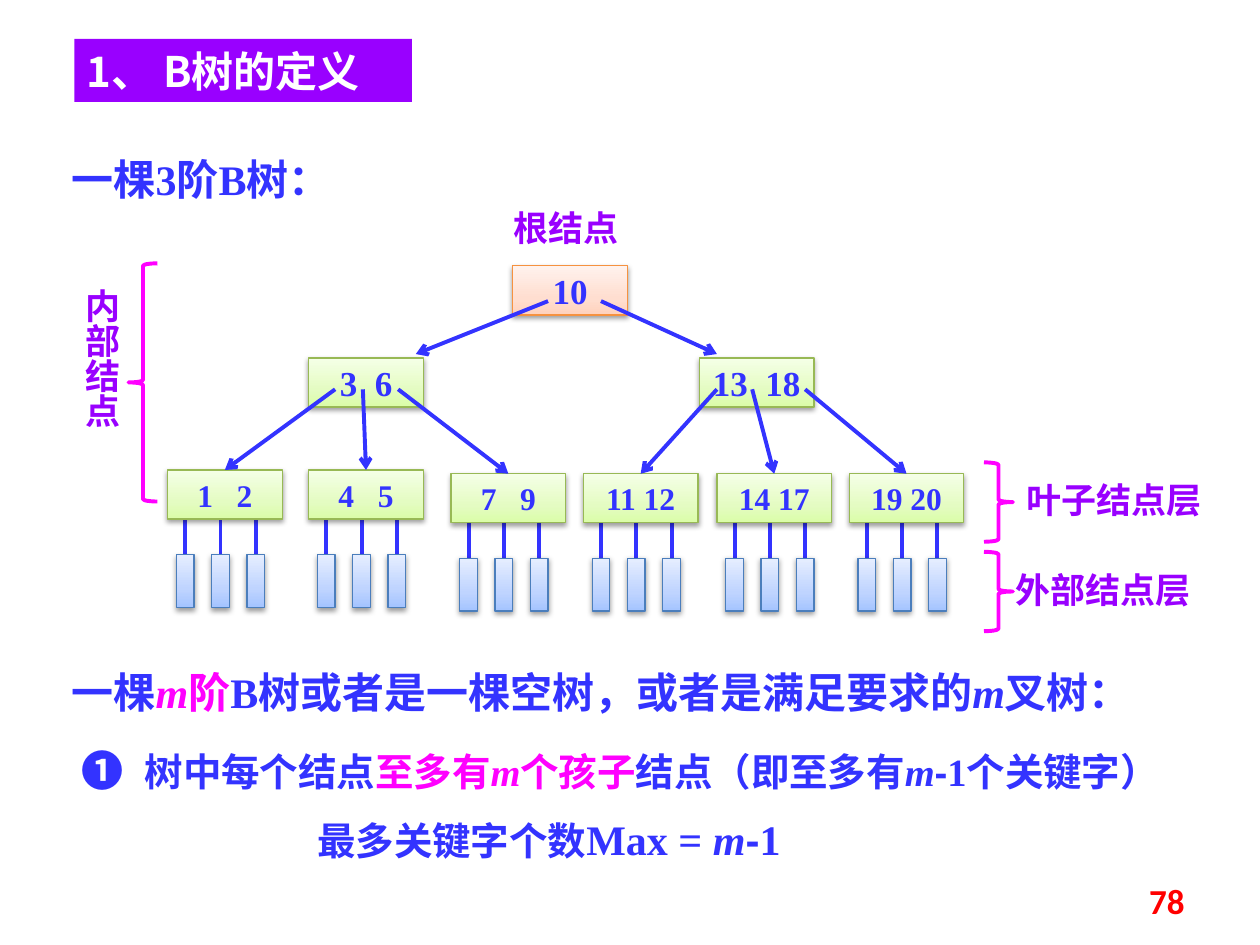
from lxml.etree import SubElement
from pptx import Presentation
from pptx.dml.color import RGBColor
from pptx.enum.shapes import MSO_CONNECTOR as CONNECTOR, MSO_SHAPE as SHAPE
from pptx.enum.text import MSO_ANCHOR as ANCHOR, PP_ALIGN as ALIGN
from pptx.oxml import parse_xml
from pptx.oxml.ns import nsdecls, qn
from pptx.util import Inches, Pt

BLUE, PURPLE, MAGENTA, WHITE, RED = "3333FF", "9900FF", "FF00FF", "FFFFFF", "FF0000"
SERIF, SANS = "Times New Roman", "Noto Sans CJK SC"
# Gradient from bottom to top, then outline
ROOT = ("FFD2BD", "FFDED0", "FFF2ED"), "F69240"
INNER = ("DAFDA7", "E4FCC2", "F5FFE7"), "98B955"
EXTERNAL = ("A4C4FF", "BFD4FF", "E6EEFF"), "4B7EBC"
NODE_W, NODE_H = 0.91, 0.39


def color(hex_value):
    return RGBColor.from_string(hex_value)


class TreeSlide:
    def __init__(self, slide):
        self.shapes = slide.shapes

    def set_runs(self, frame, runs, size, ink, font=SERIF, align=ALIGN.LEFT, anchor=ANCHOR.TOP):
        """Fill a frame with (text, overrides) runs."""
        frame.word_wrap = True
        frame.vertical_anchor = anchor
        paragraph = frame.paragraphs[0]
        paragraph.alignment = align
        for words, changes in runs:
            run = paragraph.add_run()
            run.text = words
            run.font.size = Pt(changes.get("size", size))
            run.font.bold = True
            run.font.italic = changes.get("italic", False)
            run.font.color.rgb = color(changes.get("ink", ink))
            run.font.name = changes.get("font", font)
            props = run._r.get_or_add_rPr()
            SubElement(props, qn("a:ea")).set("typeface", SANS)
            if "gap" in changes:
                props.set("spc", str(int(changes["gap"] * 100)))
        return paragraph

    def text(self, box, runs, size, ink, **style):
        area = self.shapes.add_textbox(*map(Inches, box))
        return area.text_frame, self.set_runs(area.text_frame, runs, size, ink, **style)

    def label(self, box, words, size=20, ink=PURPLE, fill=WHITE):
        panel = self.shapes.add_shape(SHAPE.RECTANGLE, *map(Inches, box))
        panel.shadow.inherit = False
        panel.fill.solid()
        panel.fill.fore_color.rgb = color(fill)
        panel.line.fill.background()
        self.set_runs(panel.text_frame, [(words, {})], size, ink, font=SANS)

    def node(self, box, look, keys="", size=20, spaces=1):
        stops, outline = look
        block = self.shapes.add_shape(SHAPE.RECTANGLE, *map(Inches, box))
        block.line.color.rgb = color(outline)
        block.line.width = Pt(0.75)
        gradient = "".join(
            f'<a:gs pos="{pos}"><a:srgbClr val="{stop}"/></a:gs>'
            for pos, stop in zip((0, 35000, 100000), stops))
        props = block._element.spPr
        props.insert(2, parse_xml(
            f'<a:gradFill {nsdecls("a")} rotWithShape="1"><a:gsLst>{gradient}</a:gsLst>'
            '<a:lin ang="16200000" scaled="0"/></a:gradFill>'))
        props.append(parse_xml(
            f'<a:effectLst {nsdecls("a")}><a:outerShdw blurRad="{Pt(3.1)}" '
            f'dist="{Pt(1.6)}" dir="5400000" rotWithShape="0"><a:srgbClr val="000000">'
            '<a:alpha val="38000"/></a:srgbClr></a:outerShdw></a:effectLst>'))
        if keys:
            first, *rest = keys.split()
            runs = [(first, {})]
            for key in rest:
                # One space, widened by character spacing
                runs += [(" ", {"gap": (spaces - 1) * size / 4}), (key, {})]
            self.set_runs(block.text_frame, runs, size, BLUE,
                          align=ALIGN.CENTER, anchor=ANCHOR.MIDDLE)

    def line(self, start, end, arrow=False):
        link = self.shapes.add_connector(
            CONNECTOR.STRAIGHT, *map(Inches, (*start, *end)))
        link.line.color.rgb = color(BLUE)
        link.line.width = Pt(2.25)
        props = link._element.spPr
        if arrow:
            SubElement(props.find(qn("a:ln")), qn("a:tailEnd")).set("type", "arrow")
        SubElement(props, qn("a:effectLst"))

    def brace(self, kind, box):
        bracket = self.shapes.add_shape(kind, *map(Inches, box))
        bracket.shadow.inherit = False
        bracket.fill.background()
        bracket.line.color.rgb = color(MAGENTA)
        bracket.line.width = Pt(2.25)


def draw_tree(page):
    leaves = [(1.33, 3.73, "1 2", 3), (2.45, 3.73, "4 5", 3), (3.58, 3.76, "7 9", 3),
              (4.63, 3.76, "11 12", 1), (5.69, 3.76, "14 17", 1), (6.74, 3.76, "19 20", 1)]

    # External nodes: three under each leaf
    for left, top, *_ in leaves:
        for child in range(3):
            x = left + 0.14 + 0.28 * child
            page.line((x, top + 0.32), (x, top + 0.67))
            page.node((x - 0.07, top + 0.67, 0.14, 0.42), EXTERNAL)

    # Internal nodes
    page.node((4.07, 2.11, NODE_W, NODE_H), ROOT, "10")
    for left, top, keys, spaces in leaves:
        page.node((left, top, NODE_W, NODE_H), INNER, keys, 18, spaces)
    branches = [(2.45, "3 6", (0.21, 0.43, 0.71), leaves[:3]),
                (5.55, "13 18", (0.14, 0.42, 0.84), leaves[3:])]
    for left, keys, *_ in branches:
        page.node((left, 2.84, NODE_W, NODE_H), INNER, keys, spaces=2)

    # Pointers
    page.line((4.35, 2.39), (3.3, 2.81), arrow=True)
    page.line((4.77, 2.39), (5.69, 2.81), arrow=True)
    for left, _, offsets, children in branches:
        for offset, (leaf_left, leaf_top, *_) in zip(offsets, children):
            page.line((left + offset, 3.09), (leaf_left + NODE_W / 2, leaf_top), arrow=True)

    # Layer names and braces
    page.label((3.98, 1.59, 1.25, 0.44), "根结点")
    page.label((8.05, 3.75, 1.72, 0.44), "叶子结点层")
    page.label((7.96, 4.46, 1.88, 0.44), "外部结点层")
    for top in (3.67, 4.38):
        page.brace(SHAPE.RIGHT_BRACE, (7.81, top, 0.23, 0.63))
    page.brace(SHAPE.LEFT_BRACE, (1.02, 2.09, 0.23, 1.89))
    inner_name, _ = page.text((0.48, 2.19, 0.54, 1.64), [("内部结点", {})], 20, PURPLE, font=SANS)
    inner_name._txBody.bodyPr.set("vert", "eaVert")


def draw_definition(page):
    order = ("m", {"italic": True})
    pink_order = ("m", {"italic": True, "ink": MAGENTA})
    minus = ("-", {"font": "Arial"})

    _, definition = page.text((0.47, 5.16, 9.26, 0.59), [
        ("一棵", {}), pink_order, ("阶", {"ink": MAGENTA}),
        ("B树或者是一棵空树，或者是满足要求的", {}), order, ("叉树：", {})], 24, BLUE)
    definition.line_spacing = 1.2

    _, rule = page.text((0.55, 5.86, 8.91, 0.5), [
        ("❶", {"size": 24}), ("\t树中每个结点", {}), ("至多有", {"ink": MAGENTA}),
        pink_order, ("个孩子", {"ink": MAGENTA}), ("结点（即至多有", {}),
        order, minus, ("1个关键字）", {})], 22, BLUE)
    indent = rule._p.get_or_add_pPr()
    indent.set("marL", str(Inches(0.5)))
    indent.set("indent", str(Inches(-0.5)))

    page.text((2.42, 6.41, 4.06, 0.5), [
        ("最多关键字个数", {"size": 22}), ("Max = ", {}), order, minus, ("1", {})], 24, BLUE)


def main():
    deck = Presentation()
    deck.slide_width, deck.slide_height = Inches(10), Inches(7.5)
    page = TreeSlide(deck.slides.add_slide(deck.slide_layouts[6]))

    # Heading
    page.label((0.59, 0.31, 2.68, 0.5), "1、 B树的定义", 24, WHITE, PURPLE)
    page.text((0.47, 1.17, 2.66, 0.5), [("一棵3阶B树：", {})], 24, BLUE)

    draw_tree(page)
    draw_definition(page)

    # Page number
    page.text((7.17, 6.95, 2.33, 0.4), [("78", {})], 20, RED, font="Calibri",
              align=ALIGN.RIGHT, anchor=ANCHOR.MIDDLE)
    deck.save("out.pptx")


if __name__ == "__main__":
    main()
